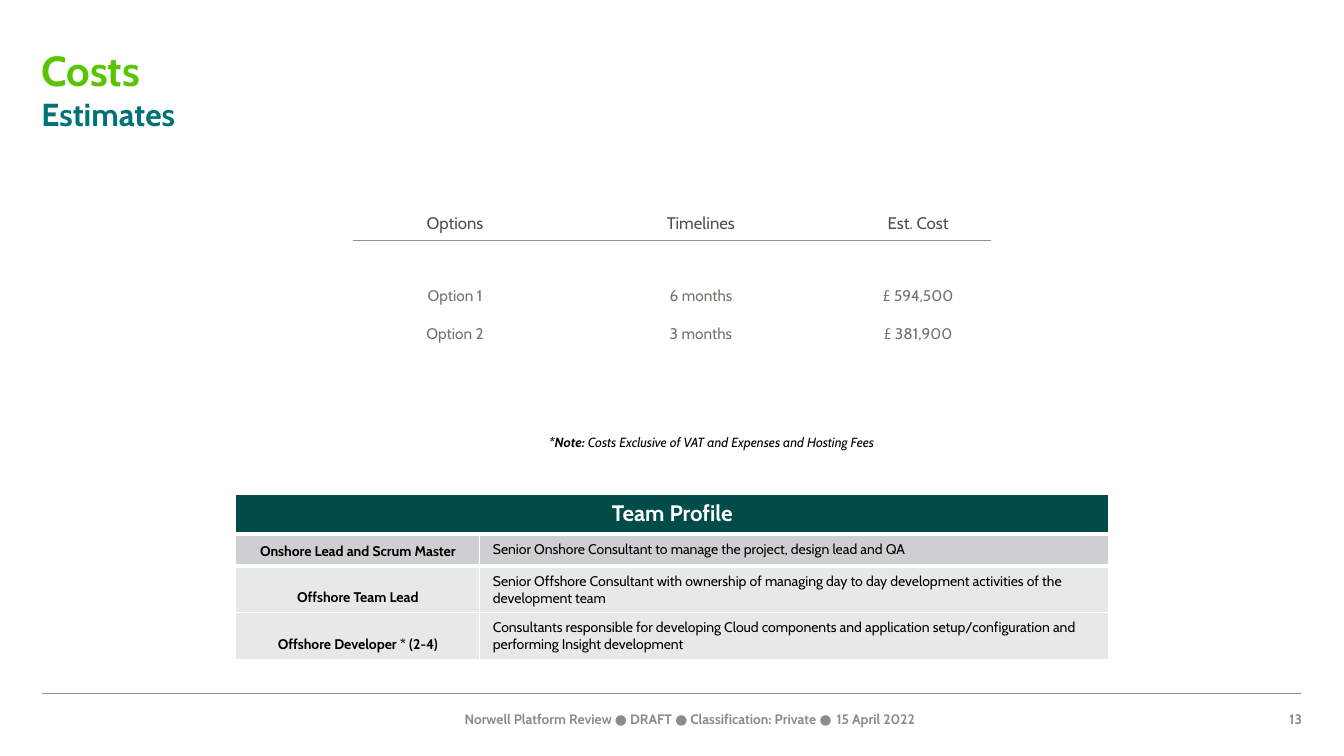
"""Build the cost estimates slide with its options and team profile tables."""
import pptx
import pptx.dml.color
import pptx.enum.shapes
import pptx.enum.text
import pptx.oxml
import pptx.oxml.ns
import pptx.util

Pt = pptx.util.Pt
hex_colour = pptx.dml.color.RGBColor.from_string
ALIGN = pptx.enum.text.PP_ALIGN
ANCHOR = pptx.enum.text.MSO_ANCHOR
GREY_LINE = "919388"


def write(paragraph, text, size, colour, alignment=ALIGN.LEFT, **formats):
    run = paragraph.add_run()
    run.text = text
    paragraph.alignment = alignment
    run.font.color.rgb = hex_colour(colour)
    for name, value in {"name": "Cabin", "size": Pt(size), **formats}.items():
        setattr(run.font, name, value)


def format_cell(cell, anchor, borders, fill=None):
    margins = {"margin_left": 9.4, "margin_right": 9.4, "margin_top": 4.7, "margin_bottom": 4.7}
    for name, value in margins.items():
        setattr(cell, name, Pt(value))
    cell.vertical_anchor = anchor
    properties = cell._tc.get_or_add_tcPr()
    for side in "LRTB":
        if side in borders:
            colour, width = borders[side]
            properties.append(pptx.oxml.parse_xml(
                f'<a:ln{side} {pptx.oxml.ns.nsdecls("a")} w="{Pt(width)}"><a:solidFill>'
                f'<a:srgbClr val="{colour}"/></a:solidFill></a:ln{side}>'))
    if fill:
        cell.fill.solid()
        cell.fill.fore_color.rgb = hex_colour(fill)
    else:
        cell.fill.background()


presentation = pptx.Presentation()
presentation.slide_width = Pt(960)
presentation.slide_height = Pt(540)
slide = presentation.slides.add_slide(presentation.slide_layouts[5])
shapes = slide.shapes

footer_line = shapes.add_connector(
    pptx.enum.shapes.MSO_CONNECTOR.STRAIGHT, Pt(30), Pt(494.9), Pt(929.5), Pt(494.9))
footer_line.line.color.rgb = hex_colour(GREY_LINE)
footer_line.line.width = Pt(0.25)
footer_line._element.spPr.append(
    pptx.oxml.parse_xml(f'<a:effectLst {pptx.oxml.ns.nsdecls("a")}/>'))

footer = "Norwell Platform Review ● DRAFT ● Classification: Private ●"
labels = [
    ("Costs", (29.5, 33.8, 900, 33.8), 30, "58C500", ALIGN.LEFT, 32.7),
    ("Estimates", (29.5, 68.4, 675.4, 22.3), 22.7, "007377", ALIGN.LEFT, 26.7),
    (footer, (306, 507.6, 288, 11.5), 9.8, "8C8C8C", ALIGN.RIGHT, 11.7),
    ("15 April 2022", (597.6, 507.6, 80, 11.5), 9.8, "8C8C8C", ALIGN.LEFT, 11.7),
    ("13", (900, 507.6, 30, 11.5), 9.8, "8C8C8C", ALIGN.RIGHT, 11.7),
]
for text, box, size, colour, alignment, line_spacing in labels:
    is_title = text == "Costs"
    shape = shapes.title if is_title else shapes.add_textbox(*map(Pt, box))
    for name, value in zip(("left", "top", "width", "height"), box):
        setattr(shape, name, Pt(value))
    frame_formats = {
        "margin_left": 0, "margin_right": 0, "margin_top": 0, "margin_bottom": 0,
        "word_wrap": True, "auto_size": pptx.enum.text.MSO_AUTO_SIZE.NONE,
        "vertical_anchor": ANCHOR.BOTTOM if is_title else ANCHOR.TOP,
    }
    for name, value in frame_formats.items():
        setattr(shape.text_frame, name, value)
    paragraph = shape.text_frame.paragraphs[0]
    paragraph.line_spacing = Pt(line_spacing)
    write(paragraph, text, size, colour, alignment, bold=True)

note = shapes.add_textbox(Pt(331.2), Pt(306.7), Pt(354.2), Pt(18.7))
note.text_frame.word_wrap = True
note_parts = [("*Note: ", True), ("Costs Exclusive of VAT and Expenses and Hosting Fees", False)]
for text, bold in note_parts:
    write(note.text_frame.paragraphs[0], text, 9.5, "000000", ALIGN.CENTER, bold=bold, italic=True)

options = [
    ("Options", 144.7, ["Option 1", "Option 2"]),
    ("Timelines", 206.6, ["6 months", "3 months"]),
    ("Est. Cost", 103.7, ["£ 594,500", "£ 381,900"]),
]
team = [
    ("Onshore Lead and Scrum Master",
     "Senior Onshore Consultant to manage the project, design lead and QA", "CCD0D0"),
    ("Offshore Team Lead",
     "Senior Offshore Consultant with ownership of managing day to day development "
     "activities of the development team", "E7E9E9"),
    ("Offshore Developer * (2-4)",
     "Consultants responsible for developing Cloud components and application "
     "setup/configuration and performing Insight development", "E7E9E9"),
]
tables = []
for box, widths, heights in [
    ((168.5, 352.8, 623.5, 118.8), (174.2, 449.3), (24.5, 23, 28.8, 24.5)),
    ((252.7, 147.6, 455, 102.2), [width for _, width, _ in options], (24.5, 77.7)),
]:
    table = shapes.add_table(len(heights), len(widths), *map(Pt, box)).table
    table.first_row = table.horz_banding = False
    for column, width in zip(table.columns, widths):
        column.width = Pt(width)
    for row, height in zip(table.rows, heights):
        row.height = Pt(height)
    tables.append(table)
team_table, options_table = tables

rule_widths = [1, 3, 3, 1, 1]
for row in range(4):
    borders = {"L": ("FFFFFF", 1), "R": ("FFFFFF", 1),
               "T": ("FFFFFF", rule_widths[row]), "B": ("FFFFFF", rule_widths[row + 1])}
    for column in range(2):
        cell = team_table.cell(row, column)
        in_role_column = row > 0 and column == 0
        format_cell(cell, ANCHOR.BOTTOM if in_role_column else ANCHOR.MIDDLE, borders,
                    team[row - 1][2] if row else "004C4B")
        if row:
            write(cell.text_frame.paragraphs[0], team[row - 1][column], 10, "000000",
                  ALIGN.CENTER if in_role_column else ALIGN.LEFT, bold=in_role_column)
team_table.cell(0, 0).merge(team_table.cell(0, 1))
write(team_table.cell(0, 0).text_frame.paragraphs[0], "Team Profile", 16, "FFFFFF",
      ALIGN.CENTER, bold=True)

for column, (heading, _, values) in enumerate(options):
    heading_cell, value_cell = (options_table.cell(row, column) for row in range(2))
    format_cell(heading_cell, ANCHOR.TOP, {"B": (GREY_LINE, 0.75)})
    format_cell(value_cell, ANCHOR.BOTTOM, {"T": (GREY_LINE, 0.75)})
    write(heading_cell.text_frame.paragraphs[0], heading, 12, "515046", ALIGN.CENTER)
    first, second = value_cell.text_frame.paragraphs[0], value_cell.text_frame.add_paragraph()
    second.space_before = Pt(13.5)
    for paragraph, text in zip((first, second), values):
        write(paragraph, text, 11, "73736B", ALIGN.CENTER)

presentation.save("out.pptx")
